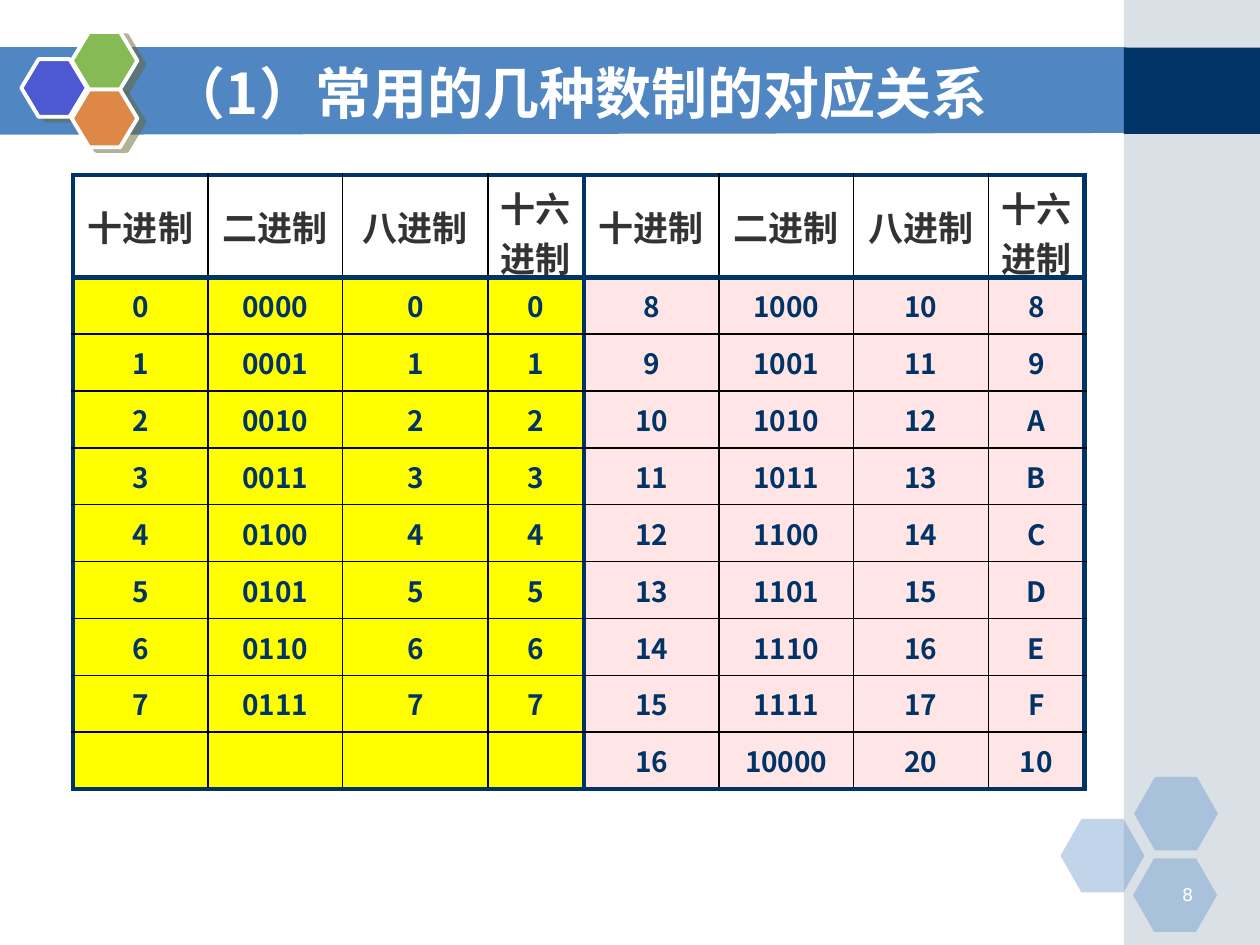
from dataclasses import dataclass
from typing import NamedTuple, Optional

from lxml.etree import SubElement
from pptx import Presentation
from pptx.dml.color import RGBColor
from pptx.enum.shapes import MSO_SHAPE as Preset
from pptx.enum.text import MSO_ANCHOR as Anchor, PP_ALIGN as Align
from pptx.oxml.ns import qn
from pptx.util import Pt


@dataclass(frozen=True)
class Theme:
    banner: str = "5086C2"
    navy: str = "003366"
    side: str = "A0B5C4"
    white: str = "FFFFFF"
    black: str = "000000"
    heading: str = "333333"
    low: str = "FFFF00"
    high: str = "FFE5E5"
    shadow: str = "666633"
    font: str = "Noto Sans CJK SC"
    number_font: str = "DejaVu Sans"
    title_size: float = 32
    heading_size: float = 20
    body_size: float = 16
    number_size: float = 10
    thick: float = 3
    thin: float = 1
    outline: float = 2.25


THEME = Theme()


class Frame(NamedTuple):
    left: float
    top: float
    width: float
    height: float

    def points(self) -> list:
        return [Pt(value) for value in self]


@dataclass(frozen=True)
class Block:
    preset: Preset
    frame: Frame
    color: str
    opacity: int = 100
    adjust: Optional[float] = None
    raised: bool = False


def hexagon(left: float, top: float, color: str, raised: bool) -> Block:
    if raised:
        return Block(Preset.HEXAGON, Frame(left, top, 37.5, 33), color, adjust=0.3, raised=True)
    return Block(Preset.HEXAGON, Frame(left, top, 48, 42), color, opacity=35, adjust=0.286)


BANNER = [(-0.7, 27.2), (644.5, 27.2), (644.5, 76.5), (-0.7, 77)]
BLOCKS = [
    Block(Preset.RECTANGLE, Frame(642.2, 0, 77.8, 540), THEME.side, opacity=40),
    Block(Preset.RECTANGLE, Frame(642.2, 27.2, 77.8, 49.3), THEME.navy),
    hexagon(606, 468, THEME.banner, raised=False),
    hexagon(648, 444, THEME.banner, raised=False),
    hexagon(647.5, 490.5, THEME.banner, raised=False),
    hexagon(12.2, 33.8, "4C59D2", raised=True),
    hexagon(41, 18.2, "85BA54", raised=True),
    hexagon(41, 51.2, "DE8848", raised=True),
]

COLUMNS = [77, 77, 83, 55, 77, 77, 77, 55]
HEADER_HEIGHT, ROW_HEIGHT = 58.5, 32.5
HALF = len(COLUMNS) // 2
HANGING = 27
HEADINGS = ["十进制", "二进制", "八进制", "十六进制", "十进制", "二进制", "八进制", "十六\n进制"]


def rgb(color: str) -> RGBColor:
    return RGBColor.from_string(color)


def add_color(parent, color: str, opacity: int = 100) -> None:
    node = SubElement(parent, qn("a:srgbClr"), val=color)
    if opacity < 100:
        SubElement(node, qn("a:alpha"), val=str(opacity * 1000))


def write(frame, text: str, *, size: float, color: str, font: str = THEME.font,
          bold: bool = False, align: Align = Align.LEFT, hanging: float = 0) -> None:
    for index, line in enumerate(text.split("\n")):
        para = frame.add_paragraph() if index else frame.paragraphs[0]
        para.alignment = align
        if hanging:
            properties = para._p.get_or_add_pPr()
            properties.set("marL", str(Pt(hanging)))
            properties.set("indent", str(-Pt(hanging)))
        span = para.add_run()
        span.text = line
        span.font.size = Pt(size)
        span.font.bold = bold
        span.font.name = font
        span.font.color.rgb = rgb(color)
        SubElement(span._r.get_or_add_rPr(), qn("a:ea"), typeface=font)


def add_text(page, frame: Frame, text: str, anchor: Anchor, **style) -> None:
    box = page.shapes.add_textbox(*frame.points())
    box.text_frame.word_wrap = True
    box.text_frame.vertical_anchor = anchor
    write(box.text_frame, text, **style)


def add_banner(page) -> None:
    builder = page.shapes.build_freeform(*BANNER[0], scale=Pt(1))
    builder.add_line_segments(BANNER[1:], close=True)
    banner = builder.convert_to_shape()
    banner.shadow.inherit = False
    banner.fill.solid()
    banner.fill.fore_color.rgb = rgb(THEME.banner)
    banner.line.fill.background()


def add_block(page, block: Block) -> None:
    shape = page.shapes.add_shape(block.preset, *block.frame.points())
    shape.shadow.inherit = False
    if block.adjust is not None:
        shape.adjustments[0] = block.adjust
    shape.fill.solid()
    shape.fill.fore_color.rgb = rgb(block.color)
    if block.opacity < 100:
        node = shape._element.spPr.find(qn("a:solidFill"))[0]
        SubElement(node, qn("a:alpha"), val=str(block.opacity * 1000))
    if not block.raised:
        shape.line.fill.background()
        return
    shape.line.color.rgb = rgb(THEME.white)
    shape.line.width = Pt(THEME.outline)
    effects = shape._element.spPr.find(qn("a:effectLst"))
    cast = SubElement(effects, qn("a:outerShdw"), dist=str(Pt(4.5)), dir=str(27 * 60000))
    add_color(cast, THEME.shadow, 50)


def set_borders(cell, thick_sides: dict[str, bool]) -> None:
    properties = cell._tc.get_or_add_tcPr()
    for side, thick in thick_sides.items():
        width = THEME.thick if thick else THEME.thin
        line = SubElement(properties, qn(f"a:ln{side}"), w=str(Pt(width)))
        add_color(SubElement(line, qn("a:solidFill")), THEME.navy if thick else THEME.black)


def numeral_rows() -> list[list[str]]:
    """Pair 0-7 on the left with 8-15 on the right, then 16 alone."""
    def forms(number: int) -> list[str]:
        return [str(number), f"{number:04b}", f"{number:o}", f"{number:X}"]

    pairs = [forms(number) + forms(number + 8) for number in range(8)]
    return pairs + [[""] * HALF + forms(16)]


def add_numeral_table(page) -> None:
    rows = [HEADINGS] + numeral_rows()
    last_row, last_column = len(rows) - 1, len(COLUMNS) - 1
    frame = Frame(41.8, 100, sum(COLUMNS), HEADER_HEIGHT + last_row * ROW_HEIGHT)
    table = page.shapes.add_table(len(rows), len(COLUMNS), *frame.points()).table
    table.first_row = table.horz_banding = False
    for column, width in zip(table.columns, COLUMNS):
        column.width = Pt(width)
    for r, values in enumerate(rows):
        table.rows[r].height = Pt(ROW_HEIGHT if r else HEADER_HEIGHT)
        for c, text in enumerate(values):
            cell = table.cell(r, c)
            cell.vertical_anchor = Anchor.MIDDLE
            set_borders(cell, {"L": c in (0, HALF), "R": c in (HALF - 1, last_column),
                               "T": r in (0, 1), "B": r in (0, last_row)})
            if r:
                cell.fill.solid()
                cell.fill.fore_color.rgb = rgb(THEME.low if c < HALF else THEME.high)
            else:
                cell.fill.background()
            if text:
                wraps = r == 0 and c % HALF == HALF - 1
                write(cell.text_frame, text, bold=True, align=Align.CENTER,
                      size=THEME.body_size if r else THEME.heading_size,
                      color=THEME.navy if r else THEME.heading,
                      hanging=0 if wraps else HANGING)


def main() -> None:
    deck = Presentation()
    deck.slide_width, deck.slide_height = Pt(720), Pt(540)
    page = deck.slides.add_slide(deck.slide_layouts[6])
    add_banner(page)
    for block in BLOCKS:
        add_block(page, block)
    add_text(page, Frame(653, 501.8, 36, 18), "8", Anchor.TOP, size=THEME.number_size,
             color=THEME.white, font=THEME.number_font, align=Align.RIGHT)
    add_text(page, Frame(90, 30.2, 528, 44.6), "（1）常用的几种数制的对应关系", Anchor.MIDDLE,
             size=THEME.title_size, color=THEME.white, bold=True)
    add_numeral_table(page)
    deck.save("out.pptx")


if __name__ == "__main__":
    main()
